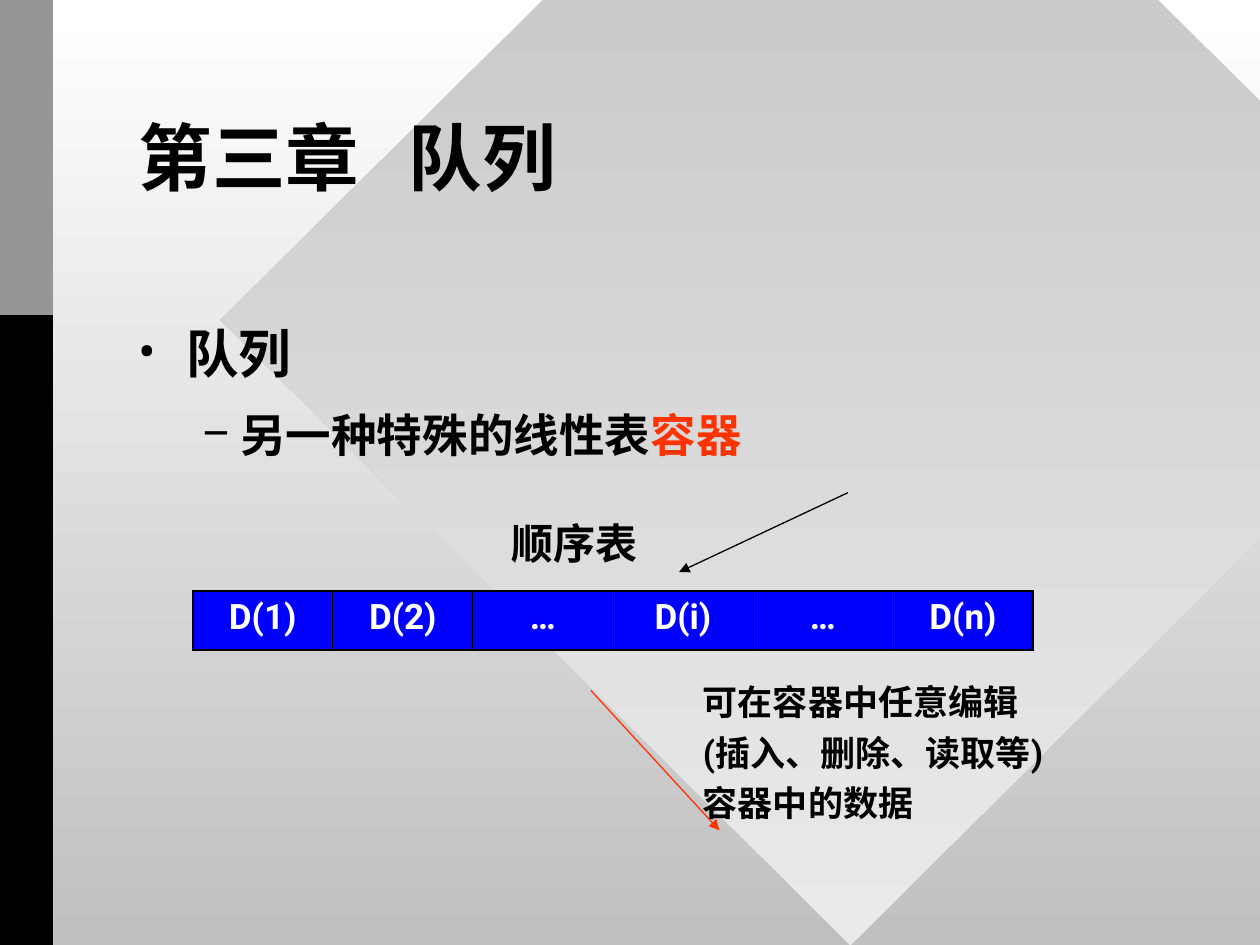
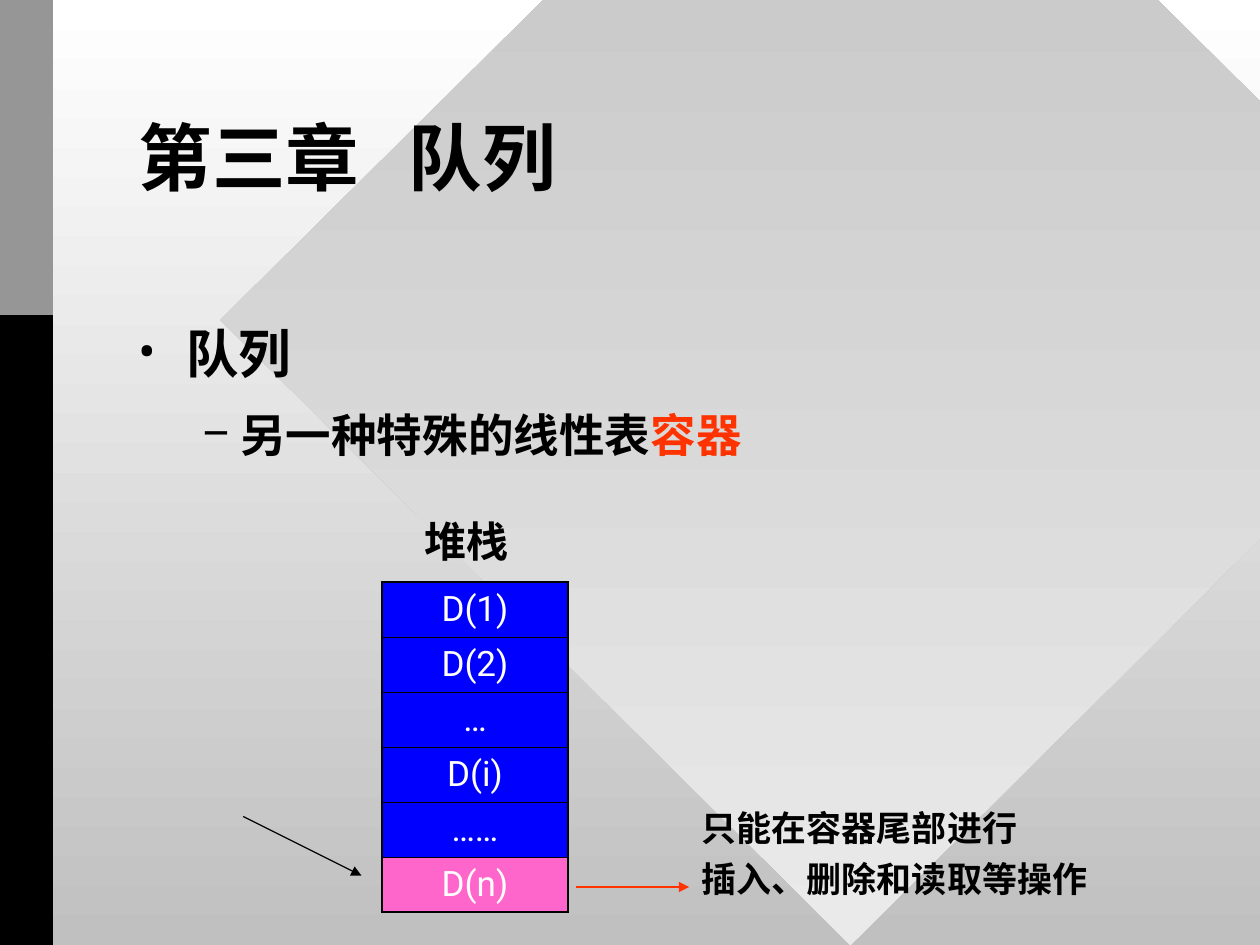
from dataclasses import dataclass

from lxml.etree import SubElement
from pptx import Presentation
from pptx.dml.color import RGBColor
from pptx.enum.shapes import MSO_CONNECTOR, MSO_SHAPE
from pptx.enum.text import MSO_ANCHOR, MSO_AUTO_SIZE, PP_ALIGN
from pptx.oxml.ns import qn
from pptx.util import Inches, Pt


@dataclass(frozen=True)
class Theme:
    font: str = "Roboto"
    ink: str = "010000"
    black: str = "000000"
    white: str = "FFFFFF"
    silver: str = "C0C0C0"
    pale: str = "EAEAEA"
    grey: str = "969696"
    accent: str = "FF3300"
    cell: str = "0000FF"
    tail_cell: str = "FF66CC"
    title_size: float = 42
    topic_size: float = 30
    point_size: float = 26
    label_size: float = 24
    text_size: float = 20
    arrow_width: float = 0.75
    outer_border: float = 1.08
    inner_border: float = 0.45


THEME = Theme()
TITLE_BOX = (1, 0.67, 8, 1.25)
TOPIC_BOX = (1, 2.5, 8.25, 4)


def inches(values):
    return [Inches(value) for value in values]


def rgb(value):
    return RGBColor.from_string(value)


def add_run(paragraph, text, size, color=THEME.ink, bold=True):
    run = paragraph.add_run()
    run.text = text
    run.font.size = Pt(size)
    run.font.bold = bold
    run.font.color.rgb = rgb(color)
    run.font.name = THEME.font
    SubElement(run.font._element, qn("a:ea"), typeface=THEME.font)


def fill_gradient(fill, top, bottom):
    fill.gradient()
    fill.gradient_angle = 270
    for stop, color, position in zip(fill.gradient_stops, (top, bottom), (0, 1)):
        stop.color.rgb = rgb(color)
        stop.position = position


def add_block(slide, preset, box):
    block = slide.shapes.add_shape(preset, *inches(box))
    block.shadow.inherit = False
    block.line.fill.background()
    return block


def move_backdrop_to_layout(slide, layout):
    for placeholder in list(layout.placeholders):
        if placeholder.placeholder_format.idx:
            layout.shapes.element.remove(placeholder.element)
    fill_gradient(layout.background.fill, THEME.white, THEME.silver)
    diamond = add_block(slide, MSO_SHAPE.DIAMOND, (1.75, -2.42, 10, 9.92))
    fill_gradient(diamond.fill, THEME.silver, THEME.pale)
    blocks = [diamond]
    for height, color in ((7.5, THEME.black), (2.5, THEME.grey)):
        band = add_block(slide, MSO_SHAPE.RECTANGLE, (0, 0, 0.42, height))
        band.fill.solid()
        band.fill.fore_color.rgb = rgb(color)
        blocks.append(band)
    for index, block in enumerate(blocks, start=2):
        layout.shapes.element.insert(index, block.element)


def add_title(slide, box):
    title = slide.shapes.title
    title.left, title.top, title.width, title.height = inches(box)
    title.text_frame.vertical_anchor = MSO_ANCHOR.MIDDLE
    heading = title.text_frame.paragraphs[0]
    heading.alignment = PP_ALIGN.LEFT
    heading.line_spacing = 0.85
    add_run(heading, "第三章\t 队列", THEME.title_size, THEME.black)


def set_bullet(paragraph, symbol, margin, hanging):
    properties = paragraph._p.get_or_add_pPr()
    properties.set("marL", str(Inches(margin)))
    properties.set("indent", str(-Inches(hanging)))
    color = SubElement(properties, qn("a:buClr"))
    SubElement(color, qn("a:srgbClr"), val=THEME.ink)
    SubElement(properties, qn("a:buFont"), typeface=THEME.font)
    SubElement(properties, qn("a:buChar"), char=symbol)


def add_topic(slide, box):
    frame = slide.shapes.add_textbox(*inches(box)).text_frame
    frame.word_wrap = True
    topic = frame.paragraphs[0]
    topic.space_before = Pt(22.5)
    set_bullet(topic, "•", 0.38, 0.38)
    add_run(topic, "队列", THEME.topic_size)
    point = frame.add_paragraph()
    point.level = 1
    point.space_before = Pt(13)
    set_bullet(point, "–", 0.81, 0.31)
    add_run(point, "另一种特殊的线性表", THEME.point_size)
    add_run(point, "容器", THEME.point_size, THEME.accent)


def add_text(slide, box, lines, size, space_before):
    frame = slide.shapes.add_textbox(*inches(box)).text_frame
    frame.word_wrap = True
    frame.auto_size = MSO_AUTO_SIZE.SHAPE_TO_FIT_TEXT
    for index, line in enumerate(lines):
        paragraph = frame.add_paragraph() if index else frame.paragraphs[0]
        paragraph.space_before = Pt(space_before)
        add_run(paragraph, line, size)


def add_label(slide, box, name):
    add_text(slide, box, [name], THEME.label_size, 6)


def add_note(slide, box, lines):
    add_text(slide, box, lines, THEME.text_size, 5)


def add_arrow(slide, start, end, color):
    arrow = slide.shapes.add_connector(MSO_CONNECTOR.STRAIGHT, *inches(start + end))
    arrow.line.color.rgb = rgb(color)
    arrow.line.width = Pt(THEME.arrow_width)
    properties = arrow.element.find(qn("p:spPr"))
    SubElement(properties.find(qn("a:ln")), qn("a:tailEnd"), type="triangle")
    SubElement(properties, qn("a:effectLst"))


def set_borders(cell, outer_sides):
    properties = cell._tc.get_or_add_tcPr()
    for side in "LRTB":
        width = THEME.outer_border if side in outer_sides else THEME.inner_border
        line = SubElement(properties, qn(f"a:ln{side}"), w=str(Pt(width)))
        fill = SubElement(line, qn("a:solidFill"))
        SubElement(fill, qn("a:srgbClr"), val=THEME.ink)


def add_container(slide, box, items, vertical=False, bold=True, tail_color=THEME.cell):
    rows, columns = (len(items), 1) if vertical else (1, len(items))
    table = slide.shapes.add_table(rows, columns, *inches(box)).table
    table.first_row = table.horz_banding = False
    for column in table.columns:
        column.width = Inches(box[2] / columns)
    for row in table.rows:
        row.height = Inches(box[3] / rows)
    first_side, last_side, long_sides = ("T", "B", "LR") if vertical else ("L", "R", "TB")
    last = len(items) - 1
    for index, (cell, item) in enumerate(zip(table.iter_cells(), items)):
        outer = long_sides + first_side * (index == 0) + last_side * (index == last)
        set_borders(cell, outer)
        cell.fill.solid()
        cell.fill.fore_color.rgb = rgb(tail_color if index == last else THEME.cell)
        cell.vertical_anchor = MSO_ANCHOR.MIDDLE if vertical else MSO_ANCHOR.TOP
        paragraph = cell.text_frame.paragraphs[0]
        paragraph.alignment = PP_ALIGN.CENTER
        add_run(paragraph, item, THEME.text_size, THEME.white, bold)


def add_chapter_slide(deck, layout):
    slide = deck.slides.add_slide(layout)
    add_title(slide, TITLE_BOX)
    add_topic(slide, TOPIC_BOX)
    return slide


def draw_sequential_list(slide, left, top):
    add_label(slide, (left + 2.43, top - 0.63, 1.25, 0.5), "顺序表")
    add_arrow(slide, (left + 5.2, top - 0.78), (left + 3.86, top - 0.15), THEME.ink)
    add_arrow(slide, (left + 3.16, top + 0.79), (left + 4.18, top + 1.9), THEME.accent)
    add_note(slide, (left + 3.95, top + 0.66, 3.02, 1.24),
             ["可在容器中任意编辑", "(插入、删除、读取等)", "容器中的数据"])
    add_container(slide, (left, top, 6.67, 0.47),
                  ["D(1)", "D(2)", "…", "D(i)", "…", "D(n)"])


def draw_stack(slide, left, top):
    add_container(slide, (left, top, 1.48, 2.62),
                  ["D(1)", "D(2)", "…", "D(i)", "……", "D(n)"],
                  vertical=True, bold=False, tail_color=THEME.tail_cell)
    add_label(slide, (left + 0.24, top - 0.58, 0.95, 0.5), "堆栈")
    add_arrow(slide, (left - 1.1, top + 1.86), (left - 0.16, top + 2.33), THEME.ink)
    add_arrow(slide, (left + 1.54, top + 2.42), (left + 2.44, top + 2.42), THEME.accent)
    add_note(slide, (left + 2.44, top + 1.73, 3.31, 0.84),
             ["只能在容器尾部进行", "插入、删除和读取等操作"])


def main():
    deck = Presentation()
    deck.slide_width, deck.slide_height = Inches(10), Inches(7.5)
    layout = deck.slide_layouts[5]
    list_slide = add_chapter_slide(deck, layout)
    move_backdrop_to_layout(list_slide, layout)
    draw_sequential_list(list_slide, 1.53, 4.69)
    draw_stack(add_chapter_slide(deck, layout), 3.03, 4.62)
    deck.save("out.pptx")


if __name__ == "__main__":
    main()
